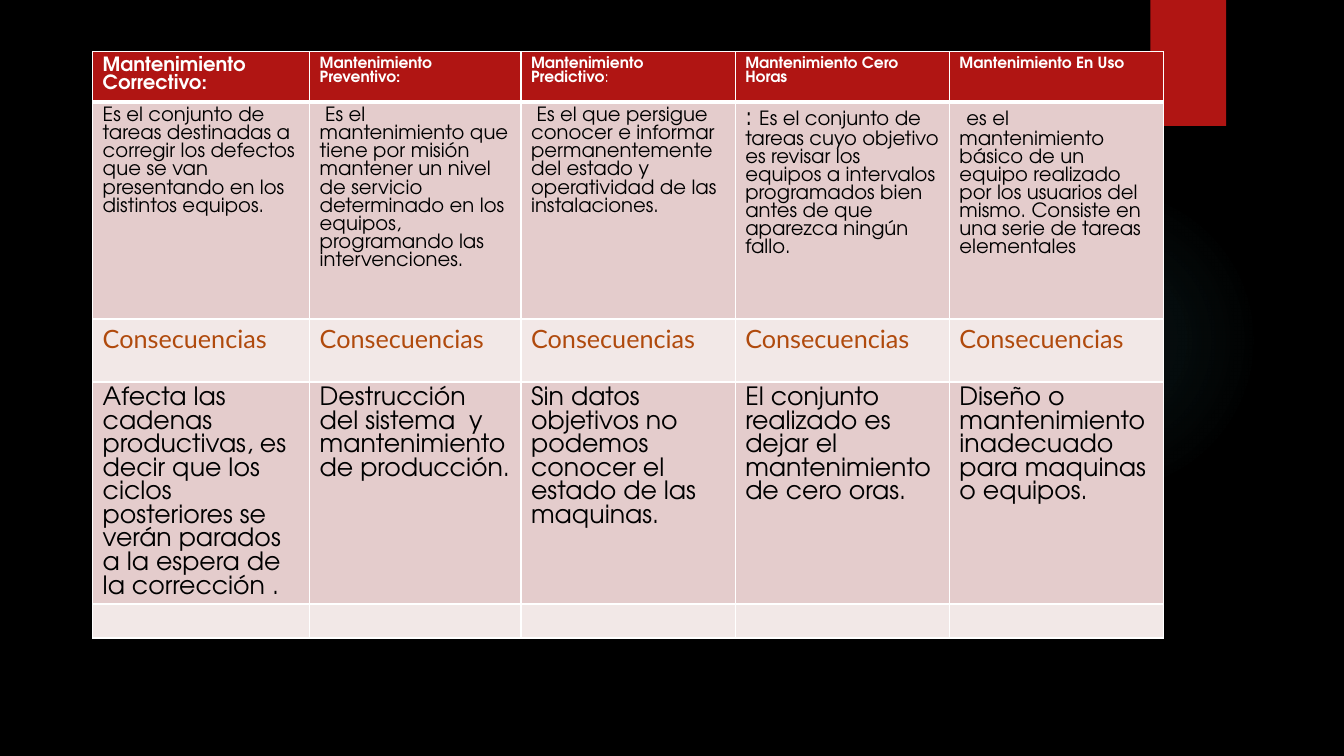
from lxml import etree
from pptx import Presentation
from pptx.dml.color import RGBColor
from pptx.enum.shapes import MSO_SHAPE
from pptx.oxml import parse_xml
from pptx.oxml.ns import qn
from pptx.util import Pt

RECT = MSO_SHAPE.RECTANGLE
OVAL = MSO_SHAPE.OVAL
NS = "http://schemas.openxmlformats.org/drawingml/2006/main"
SANS = "TeX Gyre Adventor"
LATO = "Lato"
RED, PINK, PALE = "B01513", "E4CCCC", "F2E8E7"
WHITE, BLACK, RUST = "FFFFFF", "000000", "B04A0D"
GLOW = "50B9C1"

COLS = [155, 151, 153, 153, 153]

# Each cell is a list of (text, size) runs.
HEADS = [
    [("Mantenimiento Correctivo:", 14)],
    [("Mantenimiento Preventivo:", 11)],
    [("Mantenimiento Predictivo", 11), (":", 11)],
    [("Mantenimiento Cero Horas ", 11)],
    [("Mantenimiento En Uso", 11)],
]
KINDS = [
    [("Es el conjunto de tareas destinadas a corregir los defectos que se van "
      "presentando en los distintos equipos.", 14)],
    [(" Es el mantenimiento que tiene por misión mantener un nivel de servicio "
      "determinado en los equipos, programando las intervenciones.", 14)],
    [(" Es el que persigue conocer e informar permanentemente del estado y "
      "operatividad de las instalaciones. ", 14)],
    [(": ", 18),
     ("Es el conjunto de tareas cuyo objetivo es revisar los equipos a "
      "intervalos programados bien antes de que aparezca ningún fallo.", 14)],
    [(" ", 18),
     ("es el mantenimiento básico de un equipo realizado por los usuarios del "
      "mismo. Consiste en una serie de tareas elementales ", 14)],
]
EFFECTS = [[(text, 18)] for text in (
    "Afecta las cadenas productivas, es decir que los ciclos posteriores se "
    "verán parados a la espera de la corrección .",
    "Destrucción del sistema  y mantenimiento de producción.",
    "Sin datos objetivos no podemos conocer el estado de las maquinas.",
    "El conjunto realizado es dejar el mantenimiento de cero oras.",
    "Diseño o mantenimiento inadecuado para maquinas o equipos.",
)]

# Height, fill, font, text colour and cells of each row.
ROWS = [
    (36, RED, SANS, WHITE, HEADS),
    (155, PINK, SANS, BLACK, KINDS),
    (45, PALE, LATO, RUST, [[("Consecuencias", 18)]] * len(COLS)),
    (158.5, PINK, SANS, BLACK, EFFECTS),
    (24.3, PALE, SANS, BLACK, [[]] * len(COLS)),
]


def paint(fill, color):
    fill.solid()
    fill.fore_color.rgb = RGBColor.from_string(color)


def add_form(slide, kind, box):
    form = slide.shapes.add_shape(kind, *map(Pt, box))
    form.shadow.inherit = False
    form.line.fill.background()
    return form


def add_glow(slide, box):
    """Draw a faint round light that fades to nothing at its rim."""
    form = add_form(slide, OVAL, box)
    stops = "".join(
        f'<a:gs pos="{pos * 1000}"><a:srgbClr val="{GLOW}">'
        f'<a:alpha val="{alpha * 1000}"/></a:srgbClr></a:gs>'
        for pos, alpha in ((0, 7), (36, 6), (69, 0)))
    grad = parse_xml(
        f'<a:gradFill xmlns:a="{NS}"><a:gsLst>{stops}</a:gsLst>'
        '<a:path path="circle"><a:fillToRect l="50000" t="50000" '
        'r="50000" b="50000"/></a:path></a:gradFill>')
    form._element.spPr.find(qn("a:prstGeom")).addnext(grad)


def add_tab(slide, box):
    paint(add_form(slide, RECT, box).fill, RED)


def set_edges(cell, base):
    """Rule the cell in white, with the given width at its foot."""
    props = cell._tc.get_or_add_tcPr()
    for spot, (side, width) in enumerate(
            (("L", 1), ("R", 1), ("T", 1), ("B", base))):
        line = parse_xml(
            f'<a:ln{side} xmlns:a="{NS}" w="{Pt(width)}"><a:solidFill>'
            f'<a:srgbClr val="{WHITE}"/></a:solidFill></a:ln{side}>')
        props.insert(spot, line)


def set_text(cell, runs, font, color, bold):
    para = cell.text_frame.paragraphs[0]
    for text, size in runs:
        run = para.add_run()
        run.text = text
        run.font.size = Pt(size)
        run.font.name = font
        run.font.bold = bold and text != ":"
        run.font.color.rgb = RGBColor.from_string(color)
    if not runs:
        etree.SubElement(para._p, qn("a:endParaRPr"), sz="1000")


def add_grid(slide, left, top):
    high = sum(row[0] for row in ROWS)
    frame = slide.shapes.add_table(
        len(ROWS), len(COLS), Pt(left), Pt(top), Pt(sum(COLS)), Pt(high))
    table = frame.table
    table.horz_banding = False
    for col, width in zip(table.columns, COLS):
        col.width = Pt(width)
    for r, (height, fill, font, color, cells) in enumerate(ROWS):
        table.rows[r].height = Pt(height)
        for c, runs in enumerate(cells):
            cell = table.cell(r, c)
            paint(cell.fill, fill)
            set_edges(cell, 3 if r == 0 else 1)
            set_text(cell, runs, font, color, r == 0)


def main():
    deck = Presentation()
    deck.slide_width, deck.slide_height = Pt(960), Pt(540)
    slide = deck.slides.add_slide(deck.slide_layouts[6])
    paint(slide.background.fill, BLACK)
    add_glow(slide, (677.5, 131.8, 221.8, 221.8))
    add_tab(slide, (821.8, 0, 54, 90))
    add_grid(slide, 66.2, 36.9)
    deck.save("out.pptx")


if __name__ == "__main__":
    main()
